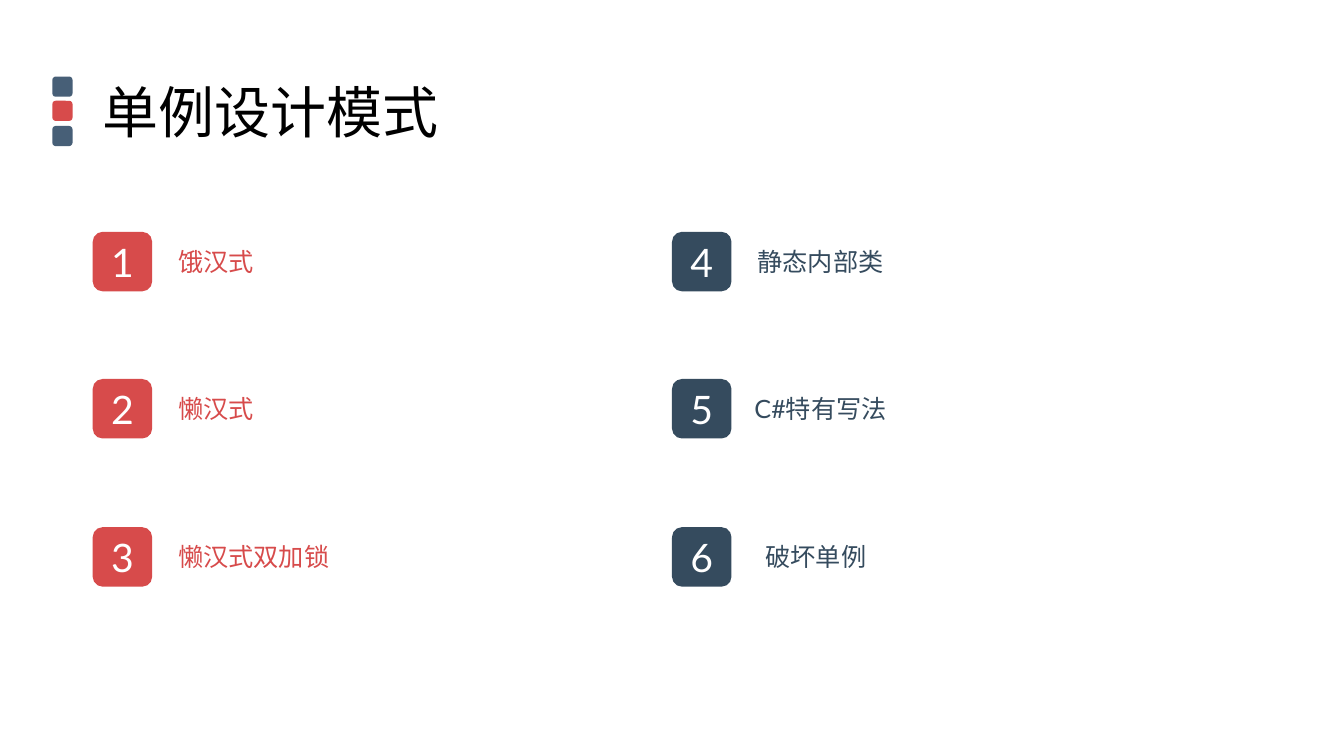
from pptx import Presentation
from pptx.dml.color import RGBColor
from pptx.enum.shapes import MSO_SHAPE
from pptx.enum.text import MSO_ANCHOR, MSO_AUTO_SIZE, PP_ALIGN
from pptx.util import Emu, Pt

ROUNDED = MSO_SHAPE.ROUNDED_RECTANGLE
MIDDLE = MSO_ANCHOR.MIDDLE
CENTER = PP_ALIGN.CENTER
FIT_SHAPE = MSO_AUTO_SIZE.SHAPE_TO_FIT_TEXT
PX = 9144
RED, NAVY, SLATE = "D74B4B", "354B5E", "475F77"

deck = Presentation()
deck.slide_width, deck.slide_height = Emu(1334 * PX), Emu(750 * PX)
page = deck.slides.add_slide(deck.slide_layouts[6])


def add_tile(left, top, size, color):
    tile = page.shapes.add_shape(ROUNDED, *(Emu(v * PX) for v in (left, top, size, size)))
    tile.shadow.inherit = False
    tile.fill.solid()
    tile.fill.fore_color.rgb = RGBColor.from_string(color)
    tile.line.fill.background()
    return tile


def write(box, text, size, color):
    para = box.text_frame.paragraphs[0]
    para.text = text
    para.font.name = "Lato"
    para.font.size = Pt(size)
    para.font.color.rgb = RGBColor.from_string(color)
    return para


for row, color in enumerate((SLATE, RED, SLATE)):
    add_tile(52, 76 + round(row * 24.5), 20, color)

title = page.shapes.add_textbox(*(Emu(v * PX) for v in (92, 55, 1150, 118)))
title.text_frame.word_wrap = True
title.text_frame.vertical_anchor = MIDDLE
write(title, "单例设计模式", 40, "000000").line_spacing = 0.9

columns = [
    (92, RED, [("饿汉式", 167, 95), ("懒汉式", 167, 95), ("懒汉式双加锁", 167, 170)]),
    (667, NAVY, [("静态内部类", 742, 145), ("C#特有写法", 739, 158), ("破坏单例", 750, 120)]),
]
number = 0
for tile_left, color, topics in columns:
    for row, (topic, left, width) in enumerate(topics):
        number += 1
        top = 230 + round(row * 146.5)
        tile = add_tile(tile_left, top, 59, color)
        tile.text_frame.vertical_anchor = MIDDLE
        write(tile, str(number), 28, "FFFFFF").alignment = CENTER

        label = page.shapes.add_textbox(*(Emu(v * PX) for v in (left, top + 9, width, 40)))
        label.text_frame.word_wrap = False
        label.text_frame.auto_size = FIT_SHAPE
        write(label, topic, 18, color)

deck.save("out.pptx")
